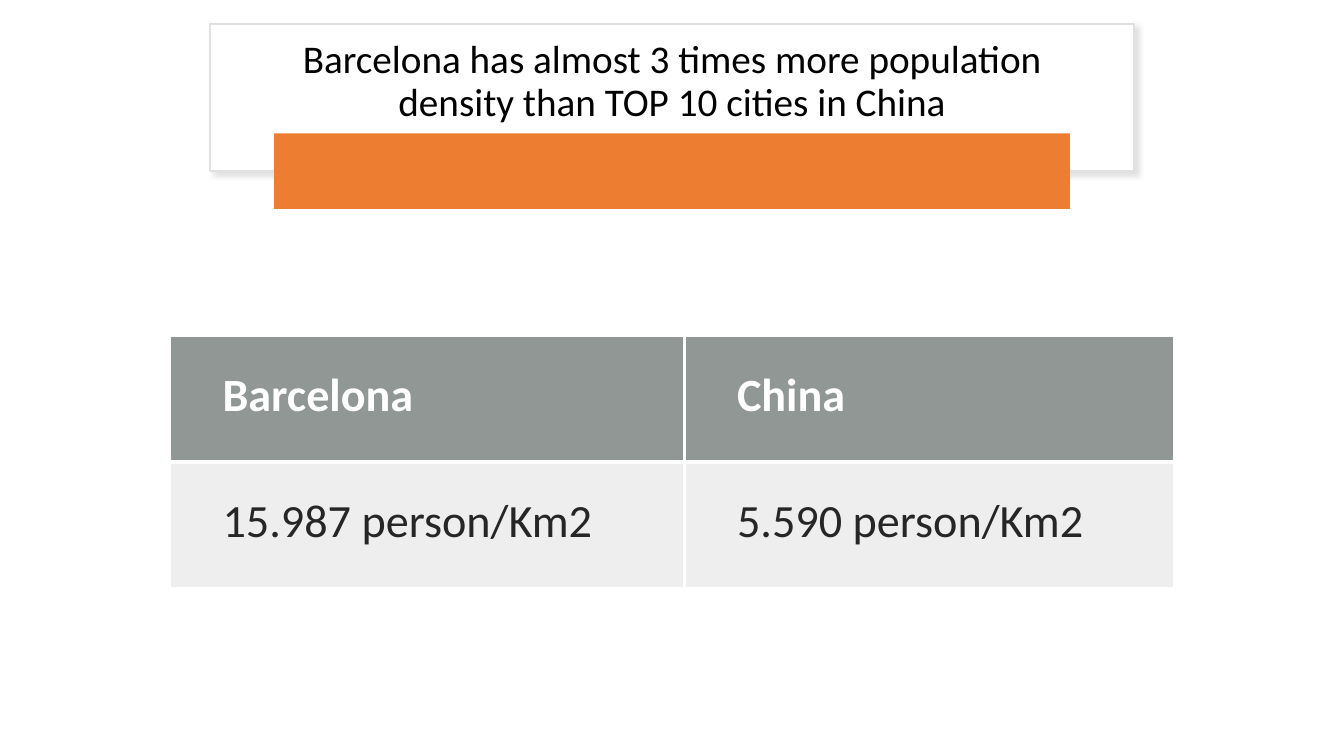
from dataclasses import dataclass

from lxml.etree import SubElement
from pptx import Presentation
from pptx.dml.color import RGBColor
from pptx.enum.shapes import MSO_SHAPE as Preset
from pptx.enum.text import MSO_ANCHOR as Anchor, PP_ALIGN as Align
from pptx.oxml import parse_xml
from pptx.oxml.ns import nsdecls, qn
from pptx.util import Emu, Pt

PX = 9525


@dataclass(frozen=True)
class Theme:
    """Colours, font and type sizes of the slide."""
    font: str = "Calibri"
    white: str = "FFFFFF"
    black: str = "000000"
    body: str = "262626"
    frame: str = "E1E1E1"
    shadow: str = "C5C3C3"
    accent: str = "ED7D31"
    header_fill: str = "636B68"
    row_fill: str = "878E8B"
    header_alpha: int = 70
    row_alpha: int = 15
    title_size: int = 28
    table_size: int = 33
    frame_width: int = 1
    border_width: int = 3


THEME = Theme()


def px(*lengths):
    """Turn px lengths into EMU."""
    return [Emu(length * PX) for length in lengths]


def style_text(paragraph, size, color, bold=False):
    """Format every run of a paragraph."""
    for run in paragraph.runs:
        run.font.name = THEME.font
        run.font.size = Pt(size)
        run.font.bold = bold
        run.font.color.rgb = RGBColor.from_string(color)


def add_panel(slide, preset, box, fill, line=None):
    """Add a filled shape with an optional outline."""
    shape = slide.shapes.add_shape(preset, *px(*box))
    shape.shadow.inherit = False
    shape.fill.solid()
    shape.fill.fore_color.rgb = RGBColor.from_string(fill)
    if line:
        shape.line.color.rgb = RGBColor.from_string(line)
        shape.line.width = Pt(THEME.frame_width)
    else:
        shape.line.fill.background()
    return shape


def add_drop_shadow(shape):
    """Give a shape a soft shadow to the lower right."""
    effects = shape._element.spPr.find(qn("a:effectLst"))
    effects.append(parse_xml(
        f'<a:outerShdw {nsdecls("a")} blurRad="{Pt(4)}" dist="{Pt(3)}" dir="2700000" '
        f'algn="tl" rotWithShape="0"><a:srgbClr val="{THEME.shadow}">'
        f'<a:alpha val="50000"/></a:srgbClr></a:outerShdw>'))


def add_title(slide, box, title):
    """Add the framed title with its accent bar across the lower edge."""
    left, top, width, height = box
    frame = add_panel(slide, Preset.RECTANGLE, box, THEME.white, THEME.frame)
    add_drop_shadow(frame)
    text_box = slide.shapes.add_textbox(*px(left + 21, top + 10, width - 42, 91))
    text_frame = text_box.text_frame
    text_frame.word_wrap = True
    text_frame.vertical_anchor = Anchor.MIDDLE
    text_frame.text = title
    paragraph = text_frame.paragraphs[0]
    paragraph.alignment = Align.CENTER
    paragraph.line_spacing = 0.9
    style_text(paragraph, THEME.title_size, THEME.black)
    bar_box = (left + 61, top + height - 36, width - 122, 72)
    bar = add_panel(slide, Preset.ROUNDED_RECTANGLE, bar_box, THEME.accent)
    bar.adjustments[0] = 0


def fill_cell(cell, color, alpha):
    """Fill a cell with a partly transparent colour."""
    cell.fill.solid()
    cell.fill.fore_color.rgb = RGBColor.from_string(color)
    color_element = cell._tc.tcPr.find(qn("a:solidFill"))[0]
    SubElement(color_element, qn("a:alpha"), val=str(alpha * 1000))


def add_borders(cell, sides):
    """Draw white borders on the given sides, listed in L, R, T, B order."""
    for index, side in enumerate(sides):
        cell._tc.tcPr.insert(index, parse_xml(
            f'<a:ln{side} {nsdecls("a")} w="{Pt(THEME.border_width)}"><a:solidFill>'
            f'<a:srgbClr val="{THEME.white}"/></a:solidFill></a:ln{side}>'))


def add_density_table(slide, box, column_widths, rows):
    """Add the comparison table with rows of equal height."""
    shape = slide.shapes.add_table(len(rows), len(column_widths), *px(*box))
    table = shape.table
    table.first_row = table.horz_banding = False
    for column, width in zip(table.columns, px(*column_widths)):
        column.width = width
    for row_index, texts in enumerate(rows):
        header = row_index == 0
        for column_index, text in enumerate(texts):
            cell = table.cell(row_index, column_index)
            cell.text = text
            cell.margin_left, cell.margin_right = px(50, 30)
            cell.margin_top, cell.margin_bottom = px(30, 30)
            color = THEME.white if header else THEME.body
            style_text(cell.text_frame.paragraphs[0], THEME.table_size, color, header)
            if header:
                fill_cell(cell, THEME.header_fill, THEME.header_alpha)
            else:
                fill_cell(cell, THEME.row_fill, THEME.row_alpha)
            add_borders(cell, ("R" if column_index == 0 else "L") + ("B" if header else "T"))


def main():
    """Build the slide and save it."""
    presentation = Presentation()
    presentation.slide_width, presentation.slide_height = px(1280, 720)
    slide = presentation.slides.add_slide(presentation.slide_layouts[6])
    add_title(slide, (200, 23, 880, 140),
              "Barcelona has almost 3 times more population density than TOP 10 cities in China")
    add_density_table(slide, (162, 320, 956, 240), (490, 466),
                      [("Barcelona", "China"),
                       ("15.987 person/Km2", "5.590 person/Km2")])
    presentation.save("out.pptx")


if __name__ == "__main__":
    main()
